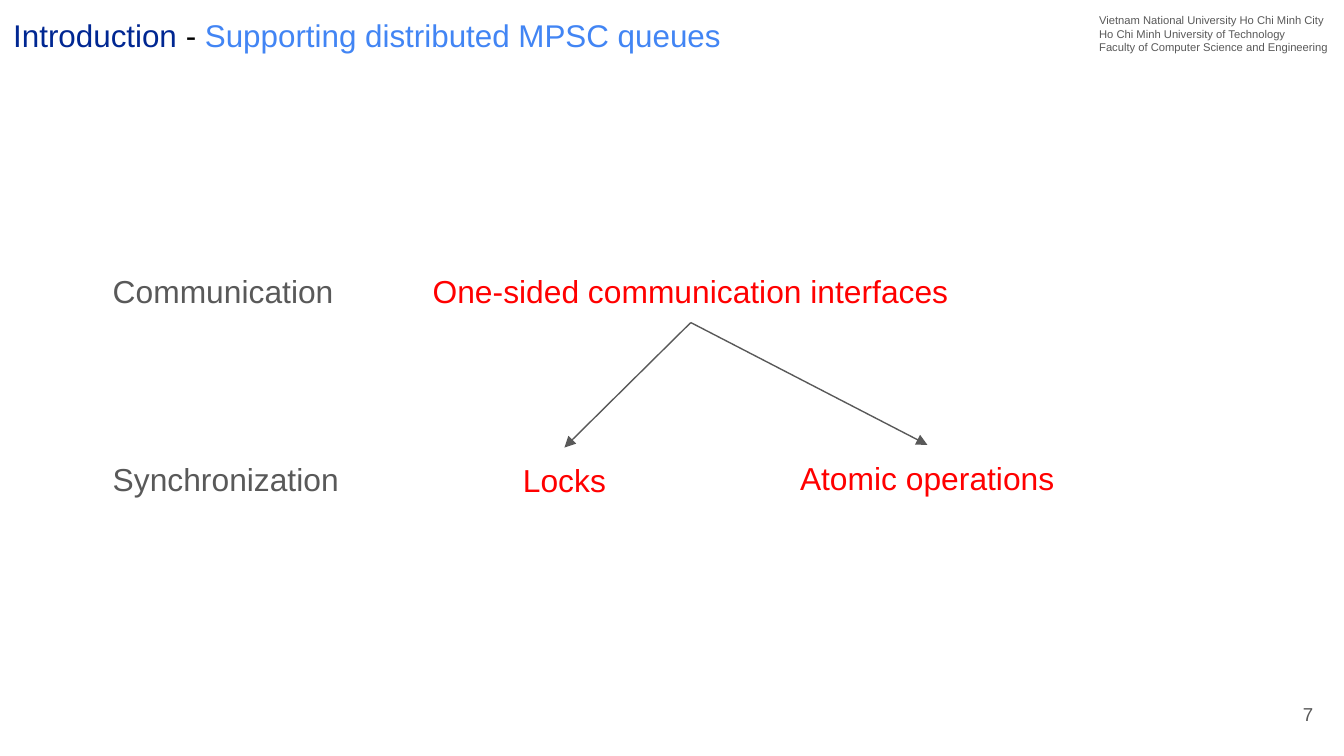
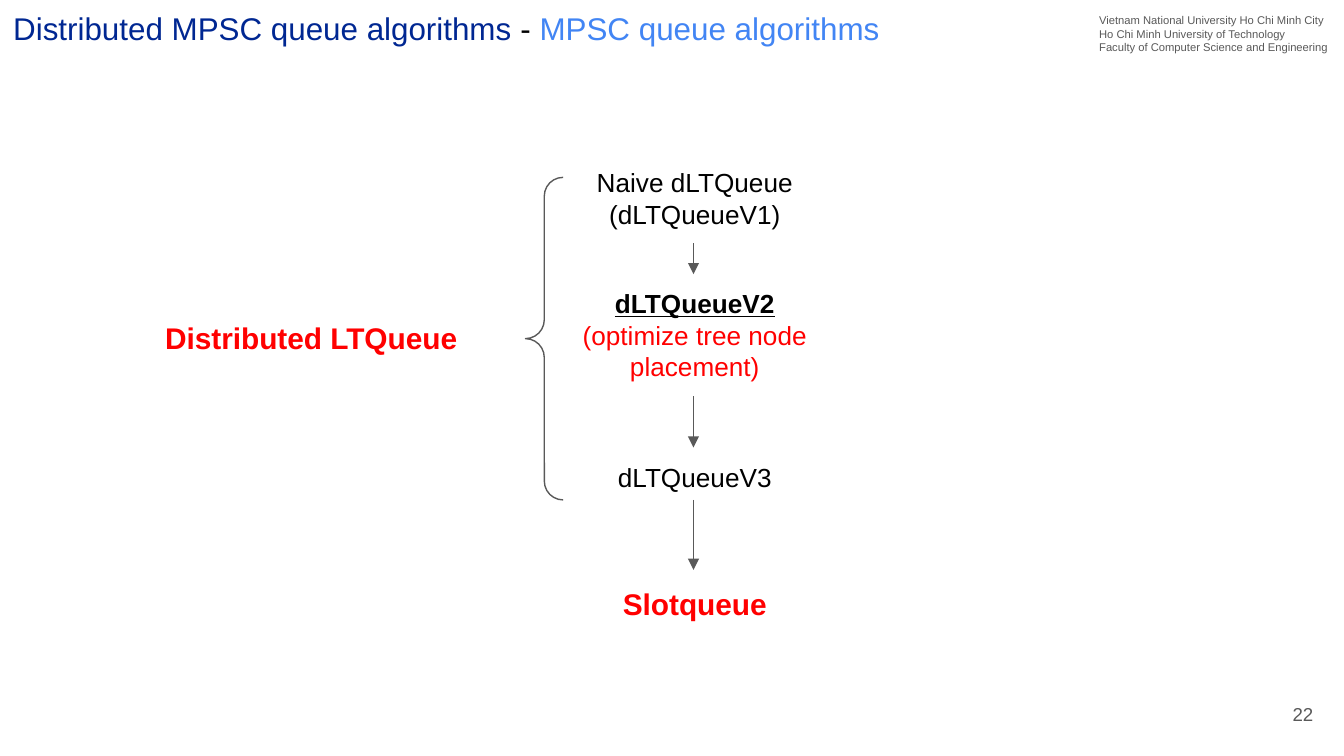
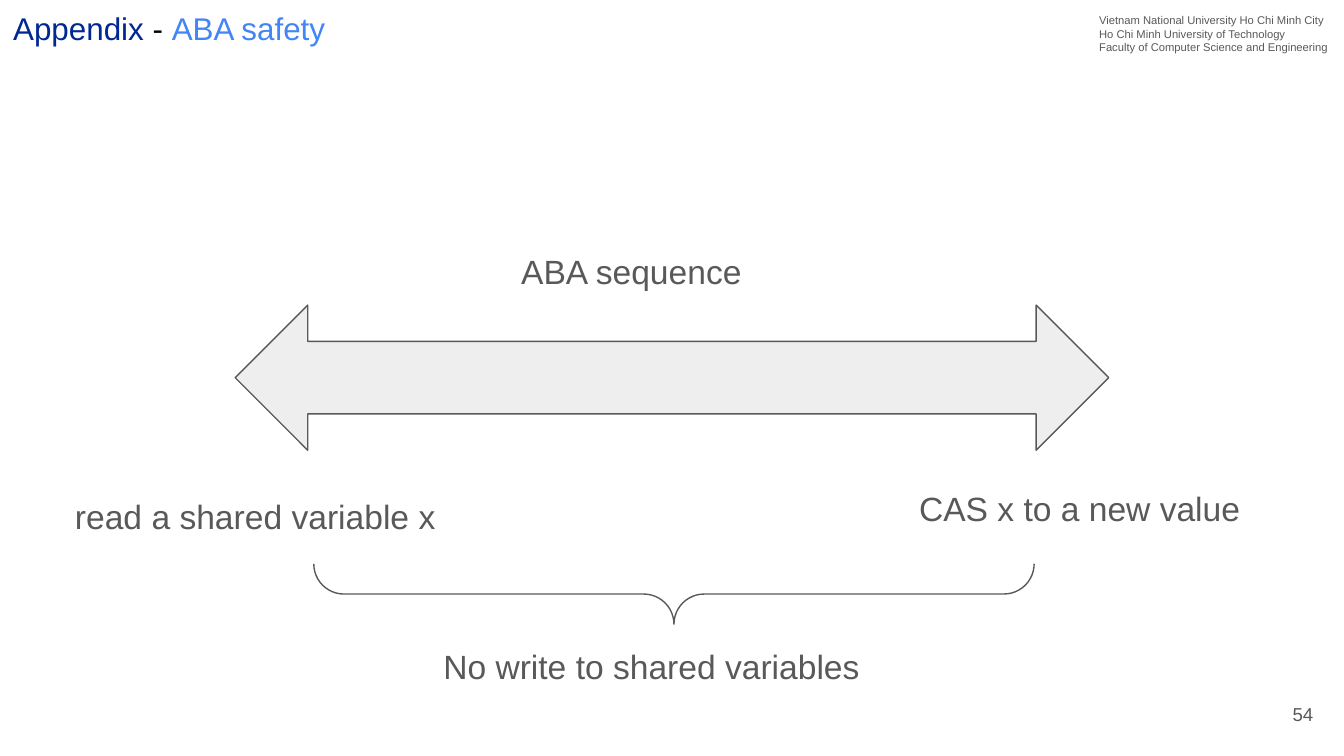
import pptx
import pptx.dml.color
import pptx.enum.shapes
import pptx.enum.text
import pptx.oxml
import pptx.oxml.ns
import pptx.util
from dataclasses import dataclass

Inches = pptx.util.Inches
Pt = pptx.util.Pt
Align = pptx.enum.text.PP_ALIGN
Anchor = pptx.enum.text.MSO_ANCHOR
Shape = pptx.enum.shapes.MSO_SHAPE


@dataclass(frozen=True)
class Theme:
    font: str = "Arial"
    navy: str = "002792"
    blue: str = "4285F4"
    black: str = "000000"
    gray: str = "595959"
    red: str = "FF0000"
    pale: str = "EEEEEE"
    title_size: float = 16.8
    header_size: float = 6
    number_size: float = 10
    topic_size: float = 17
    step_size: float = 14
    name_size: float = 16
    note_size: float = 18
    line_width: float = 0.75


THEME = Theme()
HEADER = [
    "Vietnam National University Ho Chi Minh City",
    "Ho Chi Minh University of Technology",
    "Faculty of Computer Science and Engineering",
]


def rgb(value):
    return pptx.dml.color.RGBColor.from_string(value)


# Text: each paragraph is a string or a list of (text, colour, emphasis) spans
def add_text(page, frame, paragraphs, size, color=THEME.gray,
             align=Align.LEFT, anchor=Anchor.TOP, bold=False):
    box = page.shapes.add_textbox(*map(Inches, frame))
    text = box.text_frame
    text.word_wrap = True
    text.vertical_anchor = anchor
    text.margin_left = text.margin_right = Inches(0.1)
    text.margin_top = text.margin_bottom = Inches(0.1)
    for index, content in enumerate(paragraphs):
        para = text.add_paragraph() if index else text.paragraphs[0]
        para.alignment = align
        para.font.name = THEME.font
        para.font.size = Pt(size)
        para.font.bold = bold
        para.font.color.rgb = rgb(color)
        if isinstance(content, str):
            para.add_run().text = content
            continue
        for words, span_color, emphasis in content:
            span = para.add_run()
            span.text = words
            span.font.color.rgb = rgb(span_color)
            if emphasis:
                span.font.bold = span.font.underline = True


# Lines and shapes
def set_line(line):
    line.color.rgb = rgb(THEME.gray)
    line.width = Pt(THEME.line_width)


def add_arrow(page, start, end):
    arrow = page.shapes.add_connector(
        pptx.enum.shapes.MSO_CONNECTOR.STRAIGHT, *map(Inches, start + end))
    set_line(arrow.line)
    tip = pptx.oxml.parse_xml(
        f'<a:tailEnd {pptx.oxml.ns.nsdecls("a")} type="triangle"/>')
    arrow.line._get_or_add_ln().append(tip)
    effects = pptx.oxml.parse_xml(f'<a:effectLst {pptx.oxml.ns.nsdecls("a")}/>')
    arrow._element.spPr.append(effects)


def add_outline(page, kind, frame, fill=None, rotation=0):
    shape = page.shapes.add_shape(kind, *map(Inches, frame))
    shape.shadow.inherit = False
    shape.rotation = rotation
    shape.adjustments[0] = shape.adjustments[1] = 0.5
    if fill:
        shape.fill.solid()
        shape.fill.fore_color.rgb = rgb(fill)
    else:
        shape.fill.background()
    set_line(shape.line)


# Shared title, header and page number
def add_page(deck, section, topic, number, title_height=0.45):
    page = deck.slides.add_slide(deck.slide_layouts[6])
    title = [(section + " ", THEME.navy, False), ("- ", THEME.black, False),
             (topic, THEME.blue, False)]
    add_text(page, (0, 0, 7.16, title_height), [title], THEME.title_size,
             anchor=Anchor.BOTTOM)
    add_text(page, (8.08, 0, 1.91, 0.5), HEADER, THEME.header_size)
    add_text(page, (9.27, 5.1, 0.6, 0.43), [str(number)], THEME.number_size,
             align=Align.RIGHT, anchor=Anchor.MIDDLE)
    return page


def build_support(deck):
    page = add_page(deck, "Introduction", "Supporting distributed MPSC queues",
                    7, title_height=0.5)
    for aspect, top in (("Communication", 1.92), ("Synchronization", 3.32)):
        add_text(page, (0.74, top, 2.09, 0.49), [aspect], THEME.topic_size)
    choices = [
        ("One-sided communication interfaces", 1.01, 1.92, 8.26),
        ("Locks", 3.01, 3.33, 2.38),
        ("Atomic operations", 5.71, 3.31, 2.38),
    ]
    for choice, left, top, width in choices:
        add_text(page, (left, top, width, 0.49), [choice], THEME.topic_size,
                 THEME.red, Align.CENTER)
    # Branches end at the top centre of each synchronization choice
    for choice, left, top, width in choices[1:]:
        add_arrow(page, (5.14, 2.4), (left + width / 2, top))


def build_algorithms(deck):
    page = add_page(deck, "Distributed MPSC queue algorithms",
                    "MPSC queue algorithms", 22)
    add_text(page, (1.13, 2.28, 2.62, 0.47), ["Distributed LTQueue"],
             THEME.name_size, THEME.red, bold=True)
    # Chain of versions
    second = [("dLTQueueV2", THEME.black, True), (" ", THEME.black, False),
              ("(optimize tree node placement)", THEME.red, False)]
    steps = [
        (["Naive dLTQueue", "(dLTQueueV1)"], 1.14, 0.67),
        ([second], 2.04, 0.91),
        (["dLTQueueV3"], 3.33, 0.44),
    ]
    for lines, top, height in steps:
        add_text(page, (4.07, top, 2.2, height), lines, THEME.step_size,
                 THEME.black, Align.CENTER)
    add_text(page, (4.07, 4.26, 2.2, 0.47), ["Slotqueue"], THEME.name_size,
             THEME.red, Align.CENTER, bold=True)
    for start, end in ((1.81, 2.04), (2.95, 3.33), (3.72, 4.24)):
        add_arrow(page, (5.16, start), (5.16, end))
    add_outline(page, Shape.LEFT_BRACE, (3.91, 1.32, 0.28, 2.4))


def build_safety(deck):
    page = add_page(deck, "Appendix", "ABA safety", 54)
    add_outline(page, Shape.LEFT_RIGHT_ARROW, (1.75, 2.27, 6.5, 1.08),
                fill=THEME.pale)
    notes = [
        ("ABA sequence", 3.78, 1.77, 4.46),
        ("read a shared variable x", 0.46, 3.59, 3.06),
        ("CAS x to a new value", 6.74, 3.53, 2.76),
        ("No write to shared variables", 3.2, 4.71, 3.78),
    ]
    for note, left, top, width in notes:
        add_text(page, (left, top, width, 0.5), [note], THEME.note_size)
    add_outline(page, Shape.LEFT_BRACE, (4.79, 1.74, 0.45, 5.36), rotation=270)


def main():
    deck = pptx.Presentation()
    # Widescreen, 16 to 9
    deck.slide_width = Inches(10)
    deck.slide_height = deck.slide_width * 9 // 16
    build_support(deck)
    build_algorithms(deck)
    build_safety(deck)
    deck.save("out.pptx")


if __name__ == "__main__":
    main()
